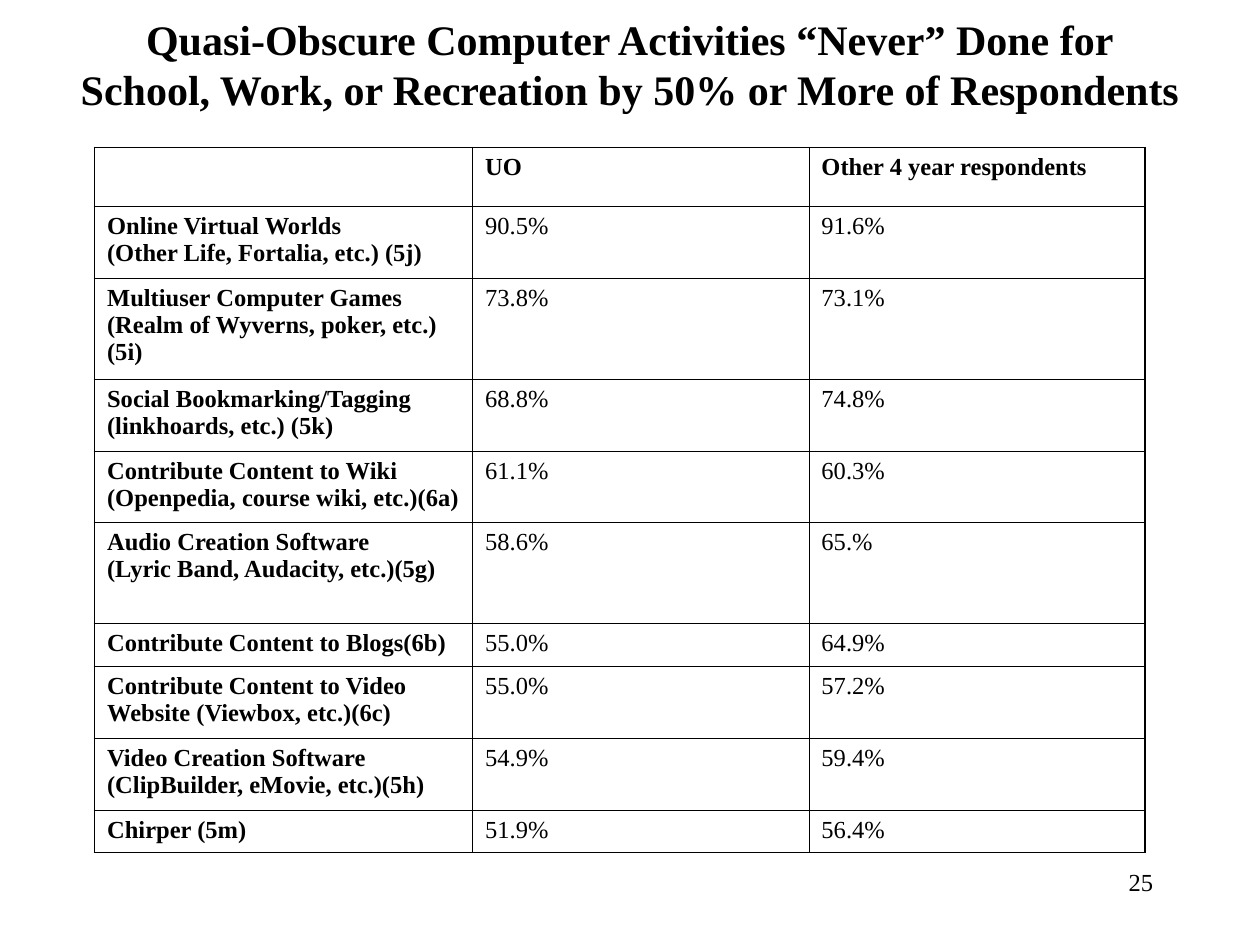
from lxml import etree
from pptx import Presentation
from pptx.dml.color import RGBColor
from pptx.enum.text import MSO_ANCHOR, MSO_AUTO_SIZE, PP_ALIGN
from pptx.oxml.ns import qn
from pptx.util import Inches, Pt

BLACK = RGBColor(0x00, 0x00, 0x00)
FONT = "Times New Roman"
THIN, THICK = Pt(0.45), Pt(1.08)

TITLE = ("Quasi-Obscure Computer Activities “Never” Done for\v"
         "School, Work, or Recreation by 50% or More of Respondents")
ROWS = [
    (0.47, "", "UO", "Other 4 year respondents"),
    (0.57, "Online Virtual Worlds\v(Other Life, Fortalia, etc.) (5j)", "90.5%", "91.6%"),
    (0.8, "Multiuser Computer Games (Realm of Wyverns, poker, etc.)(5i)", "73.8%", "73.1%"),
    (0.57, "Social Bookmarking/Tagging (linkhoards, etc.) (5k)", "68.8%", "74.8%"),
    (0.57, "Contribute Content to Wiki\v(Openpedia, course wiki, etc.)(6a)", "61.1%", "60.3%"),
    (0.8, "Audio Creation Software\v(Lyric Band, Audacity, etc.)(5g)", "58.6%", "65.%"),
    (0.34, "Contribute Content to Blogs(6b)", "55.0%", "64.9%"),
    (0.57, "Contribute Content to Video Website (Viewbox, etc.)(6c)", "55.0%", "57.2%"),
    (0.57, "Video Creation Software (ClipBuilder, eMovie, etc.)(5h)", "54.9%", "59.4%"),
    (0.34, "Chirper (5m)", "51.9%", "56.4%"),
]
COL_WIDTHS = [3, 2.67, 2.67]


def style(p, size, bold=False, align=PP_ALIGN.LEFT):
    p.alignment = align
    p.font.name = FONT
    p.font.size = Pt(size)
    p.font.bold = bold
    p.font.color.rgb = BLACK


def add_border(cell, side, width):
    """Draw one side of a cell; side is L, R, T or B."""
    ln = etree.SubElement(cell._tc.get_or_add_tcPr(), qn(f"a:ln{side}"), w=str(width))
    fill = etree.SubElement(ln, qn("a:solidFill"))
    etree.SubElement(fill, qn("a:srgbClr"), val=str(BLACK))


prs = Presentation()
prs.slide_width, prs.slide_height = Inches(10), Inches(7.5)
s = prs.slides.add_slide(prs.slide_layouts[5])

# Title
title = s.shapes.title
title.left, title.top = Inches(0.25), Inches(0.17)
title.width, title.height = Inches(9.5), Inches(0.67)
tf = title.text_frame
tf.text = TITLE
tf.auto_size = MSO_AUTO_SIZE.NONE
tf.vertical_anchor = MSO_ANCHOR.MIDDLE
style(tf.paragraphs[0], 24, True, PP_ALIGN.CENTER)

# Table of activities
table = s.shapes.add_table(
    len(ROWS), len(COL_WIDTHS), Inches(0.75), Inches(1.17),
    Inches(sum(COL_WIDTHS)), Inches(sum(row[0] for row in ROWS))).table
table.first_row = table.horz_banding = False
for col, width in zip(table.columns, COL_WIDTHS):
    col.width = Inches(width)

for i, (height, *texts) in enumerate(ROWS):
    table.rows[i].height = Inches(height)
    for j, text in enumerate(texts):
        cell = table.cell(i, j)
        cell.text = text
        style(cell.text_frame.paragraphs[0], 14, bold=i == 0 or j == 0)
        add_border(cell, "L", THICK if j == 0 else THIN)
        add_border(cell, "R", THICK if j == len(texts) - 1 else THIN)
        add_border(cell, "T", THICK if i == 0 else THIN)
        add_border(cell, "B", THIN)
        cell.fill.background()

# Page number
number = s.shapes.add_textbox(Inches(7.17), Inches(6.83), Inches(2.08), Inches(0.5))
tf = number.text_frame
tf.word_wrap = True
tf.text = "25"
style(tf.paragraphs[0], 14, align=PP_ALIGN.RIGHT)

prs.save("out.pptx")
